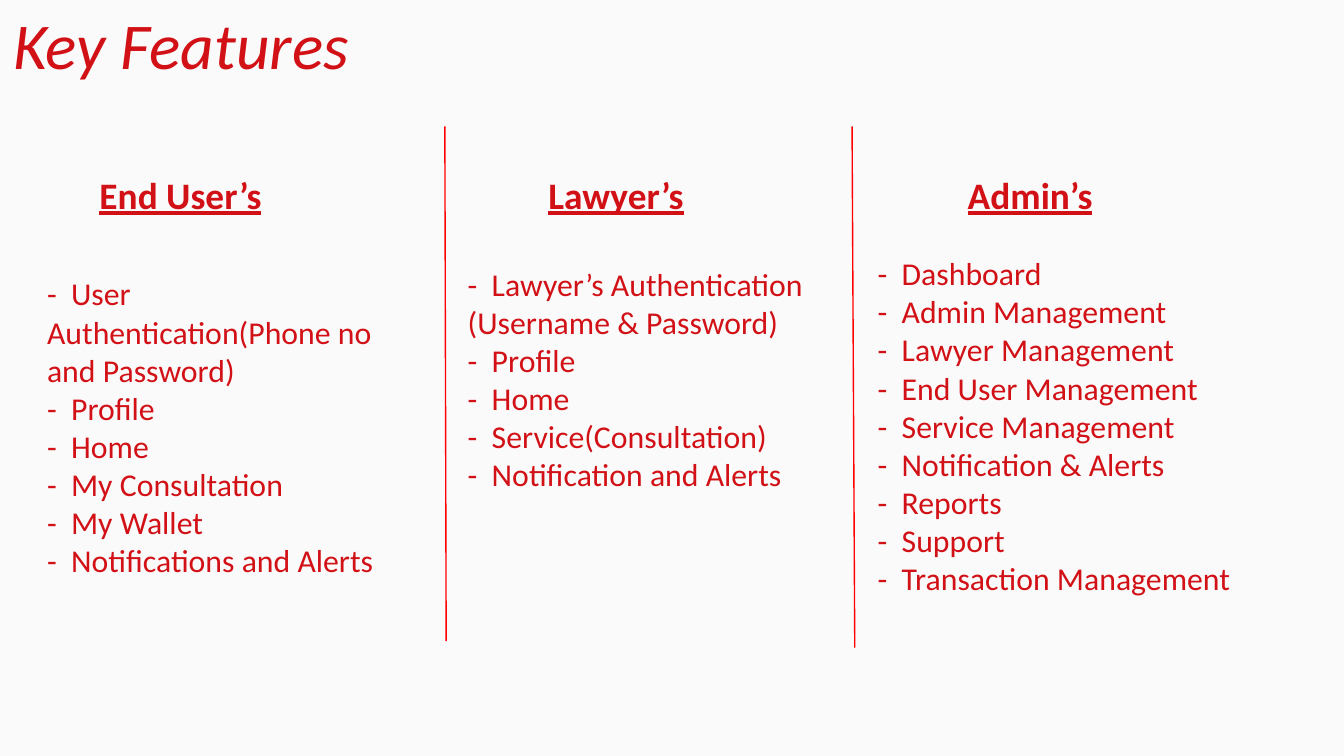
import pptx
import pptx.dml.color
import pptx.enum.shapes
import pptx.enum.text
import pptx.oxml.ns
import pptx.util
from lxml import etree

WIDTH = 10
HEIGHT = WIDTH * 9 / 16
BACKGROUND, TEXT_RED, LINE_RED = "FAFAFA", "D21117", "FF0000"
COLUMN_WIDTH = 3.12
HEADING_TOP = 1.28
DIVIDER_TOP = 0.94
DASH = "-  "

TITLE = "Key Features"
# A line feed inside an item breaks its line.
COLUMNS = [
    {"heading": "End User’s", "heading_at": (0.54, 0.74),
     "list_at": (0.15, 1.74, 3.88),
     "items": ["User\nAuthentication(Phone no and Password)", "Profile",
               "Home", "My Consultation", "My Wallet",
               "Notifications and Alerts"]},
    {"heading": "Lawyer’s", "heading_at": (3.88, 0.74),
     "list_at": (3.28, 1.67, 3.88),
     "items": ["Lawyer’s Authentication", "(Username & Password)", "Profile",
               "Home", "Service(Consultation)", "Notification and Alerts"]},
    {"heading": "Admin’s", "heading_at": (7, 0.61),
     "list_at": (6.33, 1.59, 4.03),
     "items": ["Dashboard", "Admin Management", "Lawyer Management",
               "End User Management", "Service Management",
               "Notification & Alerts", "Reports", "Support",
               "Transaction Management"]},
]
DIVIDERS = [(3.31, 3.32, 4.77), (6.34, 6.36, 4.82)]  # top x, bottom x, bottom y


def inches(*values):
    return [pptx.util.Inches(value) for value in values]


def color(hex_string):
    return pptx.dml.color.RGBColor.from_string(hex_string)


def dashed(item):
    """Put a dash before an item, unless it continues the one above."""
    return item if item.startswith("(") else DASH + item


def add_text(slide, lines, box, size, insets, line_spacing=None,
             bold=False, italic=False, underline=False):
    frame = slide.shapes.add_textbox(*inches(*box)).text_frame
    frame.word_wrap = True
    frame.vertical_anchor = pptx.enum.text.MSO_ANCHOR.TOP
    (frame.margin_left, frame.margin_top,
     frame.margin_right, frame.margin_bottom) = inches(*insets)
    for index, line in enumerate(lines):
        paragraph = frame.add_paragraph() if index else frame.paragraphs[0]
        paragraph.text = line
        if line_spacing:
            paragraph.line_spacing = line_spacing
        for run in paragraph.runs:
            font = run.font
            font.name, font.size = "Calibri", pptx.util.Pt(size)
            font.bold, font.italic, font.underline = bold, italic, underline
            font.color.rgb = color(TEXT_RED)


def add_divider(slide, top_x, bottom_x, bottom_y):
    divider = slide.shapes.add_connector(
        pptx.enum.shapes.MSO_CONNECTOR.STRAIGHT,
        *inches(top_x, DIVIDER_TOP, bottom_x, bottom_y))
    divider.line.color.rgb = color(LINE_RED)
    divider.line.width = pptx.util.Pt(0.75)
    etree.SubElement(divider._element.spPr, pptx.oxml.ns.qn("a:effectLst"))


def main():
    presentation = pptx.Presentation()
    presentation.slide_width, presentation.slide_height = inches(WIDTH, HEIGHT)
    slide = presentation.slides.add_slide(presentation.slide_layouts[6])
    slide.background.fill.solid()
    slide.background.fill.fore_color.rgb = color(BACKGROUND)

    for column in COLUMNS:
        left, height = column["heading_at"]
        add_text(slide, [column["heading"]],
                 (left, HEADING_TOP, COLUMN_WIDTH, height),
                 size=20, insets=(0.2, 0, 0.2, 0), bold=True, underline=True)
    for column in COLUMNS:
        left, top, height = column["list_at"]
        add_text(slide, [dashed(item) for item in column["items"]],
                 (left, top, COLUMN_WIDTH, height),
                 size=17, insets=(0.2, 0.3, 0.2, 0.2))
    add_text(slide, [TITLE], (0, 0, 3.28, 0.73), size=35,
             insets=(0.1, 0.1, 0.1, 0.1), italic=True, line_spacing=0.9)
    for divider in DIVIDERS:
        add_divider(slide, *divider)
    presentation.save("out.pptx")


if __name__ == "__main__":
    main()
